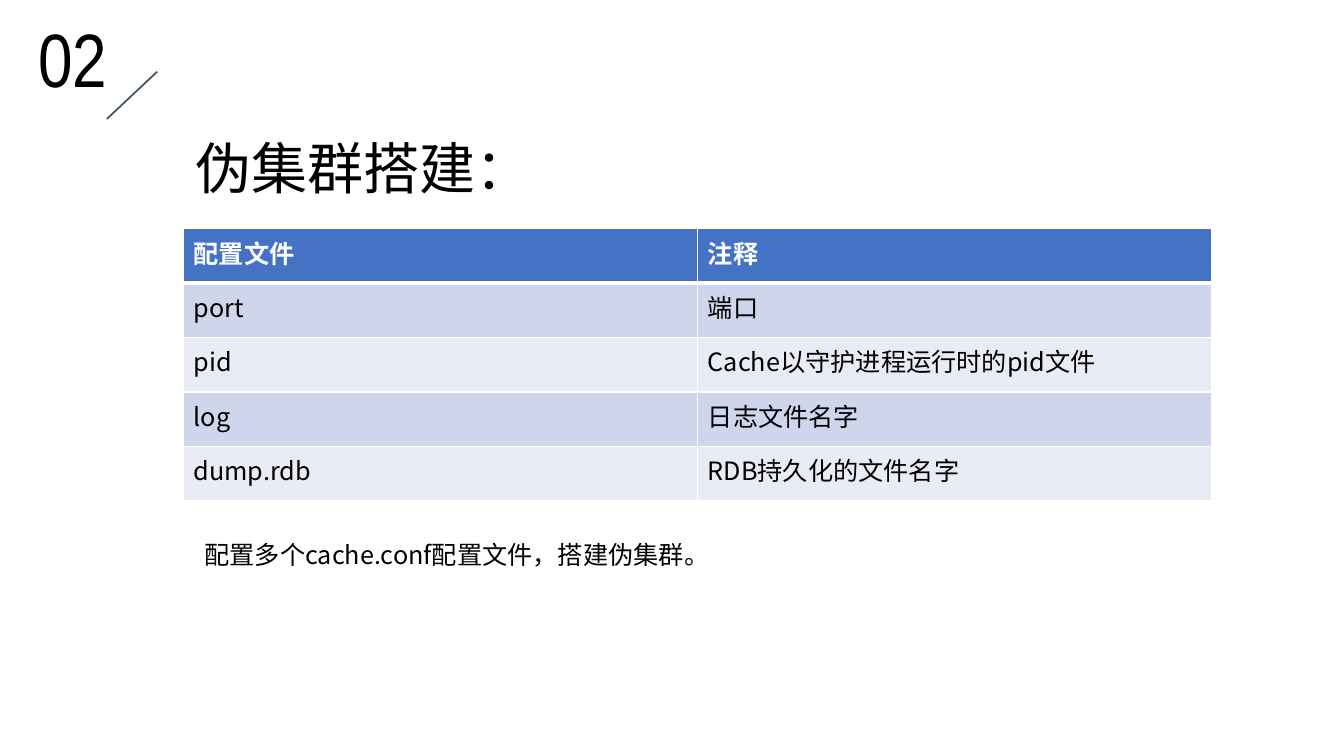
from dataclasses import dataclass

from lxml import etree
from pptx import Presentation
from pptx.dml.color import RGBColor
from pptx.enum import shapes, text
from pptx.oxml import ns
from pptx.util import Inches, Pt


@dataclass(frozen=True)
class Theme:
    """Fonts, type sizes and colours of the slide."""
    body_font: str = "Noto Sans CJK SC"
    number_font: str = "Arial Narrow"
    number_size: int = 54
    title_size: int = 40
    body_size: int = 18
    ink: str = "000000"
    white: str = "FFFFFF"
    rule: str = "44546A"
    header: str = "4472C4"
    bands: tuple = ("CFD5EA", "E9EBF5")


theme = Theme()


def write(frame, wording, size=theme.body_size, font=theme.body_font,
          color=theme.ink, bold=False, align=text.PP_ALIGN.LEFT):
    """Put one formatted paragraph into a text frame."""
    para = frame.paragraphs[0]
    para.alignment = align
    span = para.add_run()
    span.text = wording
    span.font.size = Pt(size)
    span.font.name = font
    span.font.bold = bold
    span.font.color.rgb = RGBColor.from_string(color)
    latin = span.font._element.find(ns.qn("a:latin"))
    east_asian = etree.Element(ns.qn("a:ea"), typeface=font)
    latin.addnext(east_asian)


def add_border(cell, side, points):
    """Draw a white border on one side (L, R, T or B) of a table cell."""
    properties = cell._tc.get_or_add_tcPr()
    line = etree.SubElement(properties, ns.qn(f"a:ln{side}"), w=str(Pt(points)))
    fill = etree.SubElement(line, ns.qn("a:solidFill"))
    etree.SubElement(fill, ns.qn("a:srgbClr"), val=theme.white)


deck = Presentation()
deck.slide_width, deck.slide_height = Inches(13.33), Inches(7.5)
page = deck.slides.add_slide(deck.slide_layouts[5])

# Section number and slash
number = page.shapes.add_textbox(Inches(0.28), Inches(0.07), Inches(1.14), Inches(1.01))
number.text_frame.word_wrap = True
write(number.text_frame, "02", size=theme.number_size, font=theme.number_font,
      align=text.PP_ALIGN.JUSTIFY)

slash = page.shapes.add_connector(shapes.MSO_CONNECTOR.STRAIGHT,
                                  Inches(1.56), Inches(0.71), Inches(1.06), Inches(1.18))
slash.line.color.rgb = RGBColor.from_string(theme.rule)
slash.line.width = Pt(1.25)
etree.SubElement(slash._element.spPr, ns.qn("a:effectLst"))

# Title
title = page.shapes.title
title.left, title.top = Inches(1.84), Inches(1.27)
title.width, title.height = Inches(4.13), Inches(0.77)
title.text_frame.auto_size = text.MSO_AUTO_SIZE.NONE
title.text_frame.vertical_anchor = text.MSO_ANCHOR.TOP
title.text_frame.word_wrap = True
write(title.text_frame, "伪集群搭建：", size=theme.title_size)

# Settings table
settings = [
    ("配置文件", "注释"),
    ("port", "端口"),
    ("pid", "Cache以守护进程运行时的pid文件"),
    ("log", "日志文件名字"),
    ("dump.rdb", "RDB持久化的文件名字"),
]
table = page.shapes.add_table(len(settings), 2, Inches(1.82), Inches(2.27),
                              Inches(10.2), Inches(0.54 * len(settings))).table
for row, entries in enumerate(settings):
    is_header = row == 0
    for column, entry in enumerate(entries):
        cell = table.cell(row, column)
        for side in "LRTB":
            under_header = (is_header and side == "B") or (row == 1 and side == "T")
            add_border(cell, side, 3 if under_header else 1)
        cell.fill.solid()
        cell.fill.fore_color.rgb = RGBColor.from_string(
            theme.header if is_header else theme.bands[(row - 1) % 2])
        write(cell.text_frame, entry, bold=is_header,
              color=theme.white if is_header else theme.ink)

# Closing remark
remark = page.shapes.add_textbox(Inches(1.93), Inches(5.3), Inches(8.77), Inches(0.4))
remark.text_frame.word_wrap = True
write(remark.text_frame, "配置多个cache.conf配置文件，搭建伪集群。")

deck.save("out.pptx")
